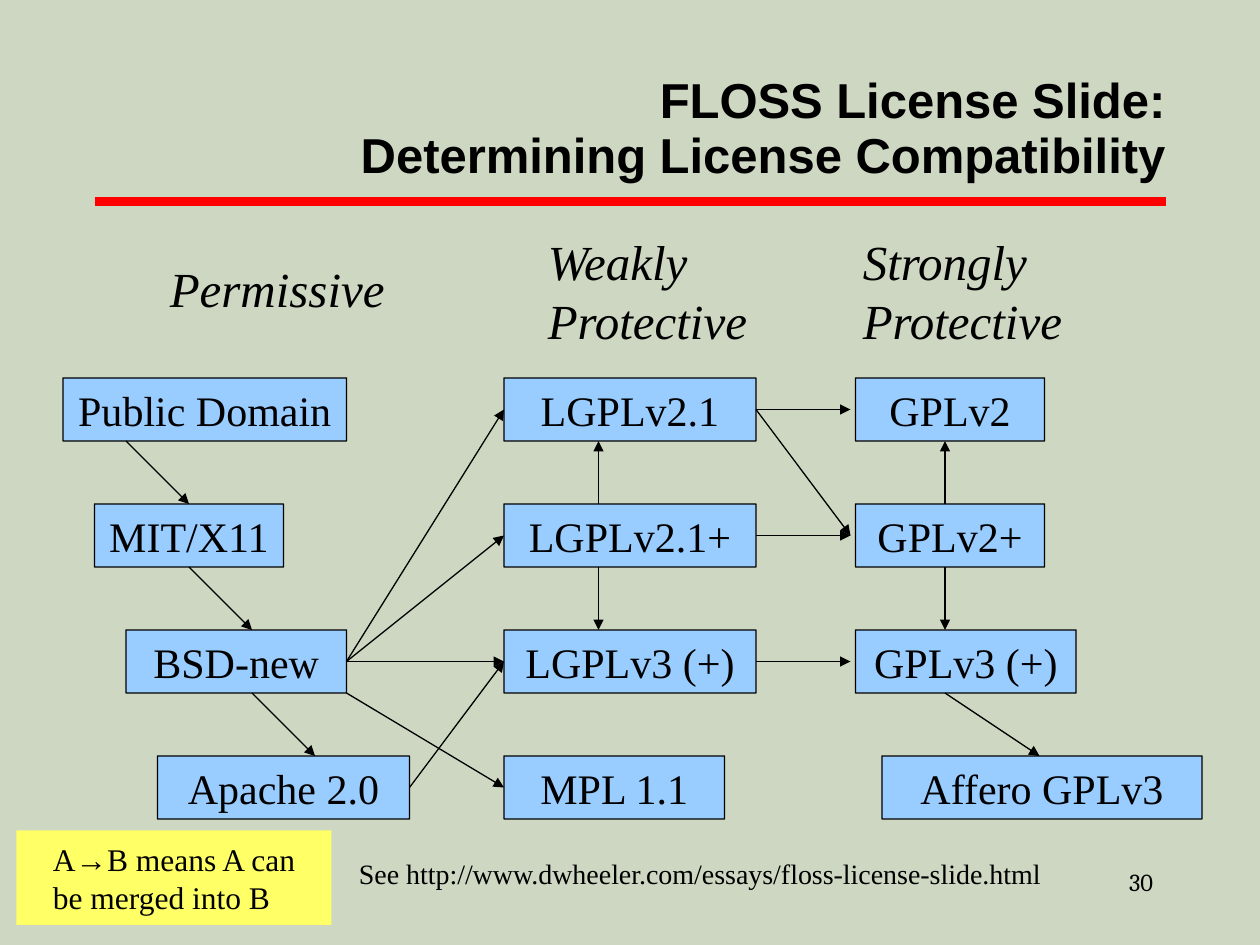
"""Build the FLOSS license compatibility slide."""
import pptx
import pptx.dml.color
import pptx.enum.shapes
import pptx.enum.text
import pptx.oxml.ns
import pptx.util
from lxml import etree

Inches = pptx.util.Inches
Pt = pptx.util.Pt
RGBColor = pptx.dml.color.RGBColor
SHAPE = pptx.enum.shapes.MSO_SHAPE
STRAIGHT = pptx.enum.shapes.MSO_CONNECTOR.STRAIGHT
ALIGN = pptx.enum.text.PP_ALIGN
ANCHOR = pptx.enum.text.MSO_ANCHOR
qn = pptx.oxml.ns.qn

BACKGROUND = RGBColor(0xCD, 0xD7, 0xC1)
RED = RGBColor(0xFF, 0, 0)
BLACK = RGBColor(0, 0, 0)
BLUE = RGBColor(0x99, 0xCC, 0xFF)
YELLOW = RGBColor(0xFF, 0xFF, 0x66)
SERIF = "Times New Roman"
BOX_HEIGHT = 0.5

LICENSES = [
    ("Public Domain", 0.5, 3, 2.25),
    ("MIT/X11", 0.75, 4, 1.5),
    ("BSD-new", 1, 5, 1.75),
    ("Apache 2.0", 1.25, 6, 2),
    ("LGPLv2.1", 4, 3, 2),
    ("LGPLv2.1+", 4, 4, 2),
    ("LGPLv3 (+)", 4, 5, 2),
    ("MPL 1.1", 4, 6, 1.75),
    ("GPLv2", 6.79, 3, 1.5),
    ("GPLv2+", 6.79, 4, 1.5),
    ("GPLv3 (+)", 6.79, 5, 1.75),
    ("Affero GPLv3", 7, 6, 2.54),
]

HEADINGS = [
    ("Permissive", 1.25, 2, 2.1, 0.53),
    ("Weakly\nProtective", 4.25, 1.79, 1.79, 0.96),
    ("Strongly\nProtective", 6.75, 1.79, 1.79, 0.96),
]

MERGES = [
    ((1, 3.5), (1.5, 4)),
    ((1.5, 4.5), (2, 5)),
    ((2, 5.5), (2.5, 6)),
    ((2.75, 5.25), (4, 3.25)),
    ((2.75, 5.25), (4, 4.25)),
    ((2.75, 5.25), (4, 5.25)),
    ((4.75, 4), (4.75, 3.5)),
    ((4.75, 4.5), (4.75, 5)),
    ((6, 3.25), (6.75, 3.25)),
    ((6, 4.25), (6.75, 4.25)),
    ((6, 5.25), (6.75, 5.25)),
    ((6, 3.25), (6.75, 4.25)),
    ((3.25, 6.25), (4, 5.25)),
    ((2.75, 5.5), (4, 6.25)),
    ((7.5, 4), (7.5, 3.5)),
    ((7.5, 4.5), (7.5, 5)),
    ((7.5, 5.5), (8.25, 6)),
]


def set_text(sp, text, size, font=SERIF, align=ALIGN.LEFT, spacing=None,
             bold=False, italic=False):
    """Fill a shape with uniformly formatted text."""
    tf = sp.text_frame
    tf.text = text
    for p in tf.paragraphs:
        p.alignment = align
        if spacing:
            p.line_spacing = spacing
        p.font.name = font
        p.font.size = Pt(size)
        p.font.bold = bold
        p.font.italic = italic
        p.font.color.rgb = BLACK
    return tf


def add_label(slide, text, x, y, w, h, size, wrap=False, **style):
    """Add a text box and return its text frame."""
    sp = slide.shapes.add_textbox(Inches(x), Inches(y), Inches(w), Inches(h))
    tf = set_text(sp, text, size, **style)
    tf.word_wrap = wrap
    return tf


def add_box(slide, text, x, y, w, h, fill, size, outlined=True, **style):
    """Add a filled box with vertically centred text."""
    sp = slide.shapes.add_shape(SHAPE.ROUNDED_RECTANGLE, Inches(x), Inches(y),
                                Inches(w), Inches(h))
    sp.adjustments[0] = 0.003
    sp.shadow.inherit = False
    sp.fill.solid()
    sp.fill.fore_color.rgb = fill
    if outlined:
        sp.line.color.rgb = BLACK
        sp.line.width = Pt(0.75)
    else:
        sp.line.fill.background()
    tf = set_text(sp, text, size, **style)
    tf.vertical_anchor = ANCHOR.MIDDLE
    return sp


def add_line(slide, start, end, color, width):
    """Add a straight line without a shadow."""
    line = slide.shapes.add_connector(STRAIGHT, *map(Inches, start + end))
    line.line.color.rgb = color
    line.line.width = Pt(width)
    etree.SubElement(line.element.spPr, qn("a:effectLst"))
    return line


def add_arrow(slide, start, end, sites):
    """Add an arrow, joined to a box where it meets the middle of a side."""
    line = add_line(slide, start, end, BLACK, 0.75)
    ln = line.element.spPr.find(qn("a:ln"))
    etree.SubElement(ln, qn("a:tailEnd"), type="triangle")
    if start in sites:
        line.begin_connect(*sites[start])
    if end in sites:
        line.end_connect(*sites[end])


def add_licenses(slide):
    """Add the license boxes and return the middles of their sides."""
    sites = {}
    for name, x, y, w in LICENSES:
        sp = add_box(slide, name, x, y, w, BOX_HEIGHT, BLUE, 24,
                     align=ALIGN.CENTER)
        sp.text_frame.word_wrap = False
        middles = [(x + w / 2, y), (x, y + BOX_HEIGHT / 2),
                   (x + w / 2, y + BOX_HEIGHT), (x + w, y + BOX_HEIGHT / 2)]
        for site, point in enumerate(middles):
            sites[point] = (sp, site)
    return sites


def main():
    """Build and save the slide."""
    prs = pptx.Presentation()
    prs.slide_width = Inches(10)
    prs.slide_height = Inches(7.5)
    slide = prs.slides.add_slide(prs.slide_layouts[6])
    slide.background.fill.solid()
    slide.background.fill.fore_color.rgb = BACKGROUND

    add_line(slide, (0.75, 1.6), (9.25, 1.6), RED, 5)
    add_label(slide, "30", 7.58, 6.83, 1.67, 0.33, 14, wrap=True,
              font="Cambria", align=ALIGN.RIGHT)
    title = add_label(
        slide, "FLOSS License Slide:\vDetermining License Compatibility",
        2.25, 0.57, 7, 0.92, 28, wrap=True, font="Arial",
        align=ALIGN.RIGHT, spacing=0.93, bold=True)
    title.vertical_anchor = ANCHOR.MIDDLE
    title.margin_left = title.margin_right = 0
    title.margin_top = title.margin_bottom = 0

    for heading in HEADINGS:
        add_label(slide, *heading, 28, italic=True)
    sites = add_licenses(slide)
    add_label(slide,
              "See http://www.dwheeler.com/essays/floss-license-slide.html",
              2.75, 6.75, 6.21, 0.38, 16)
    for start, end in MERGES:
        add_arrow(slide, start, end, sites)
    legend = add_box(slide, "A→B means A can\vbe merged into B",
                     0.13, 6.59, 2.5, 0.75, YELLOW, 18, outlined=False)
    legend.text_frame.margin_left = Inches(0.29)
    prs.save("out.pptx")


if __name__ == "__main__":
    main()
